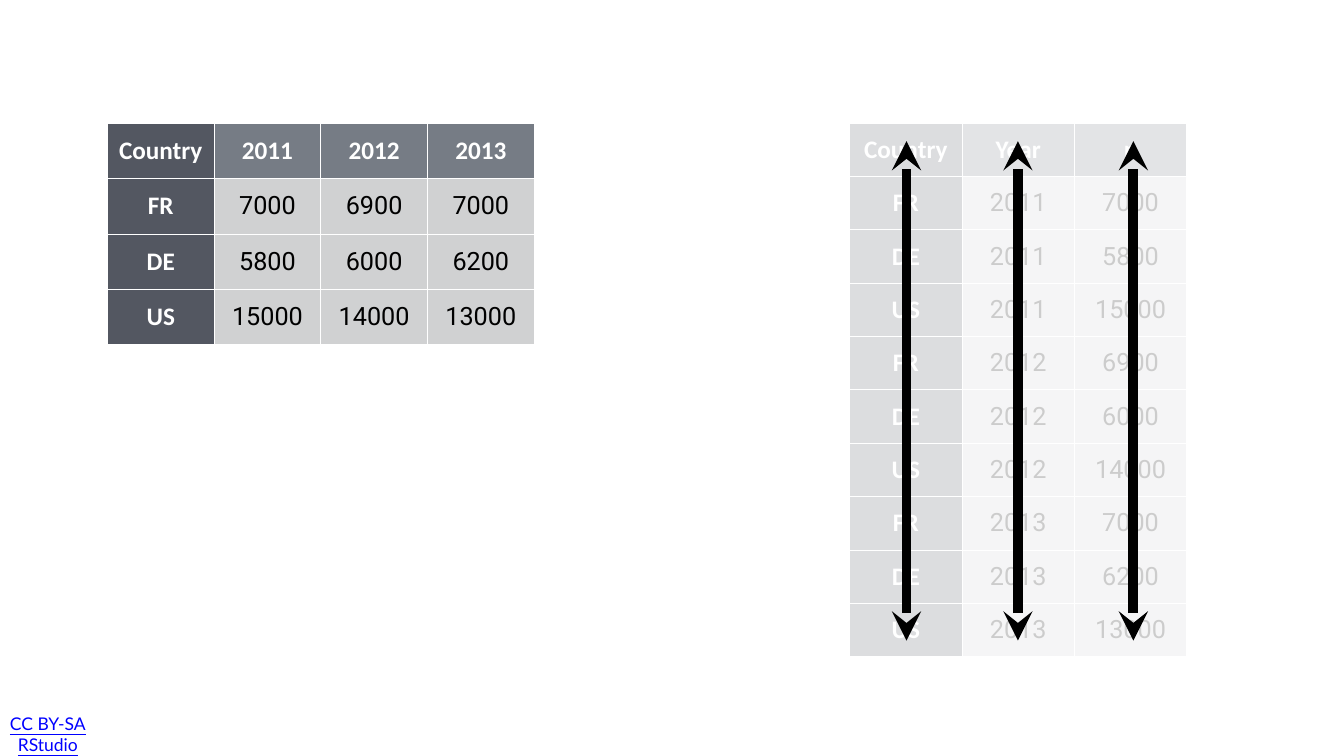
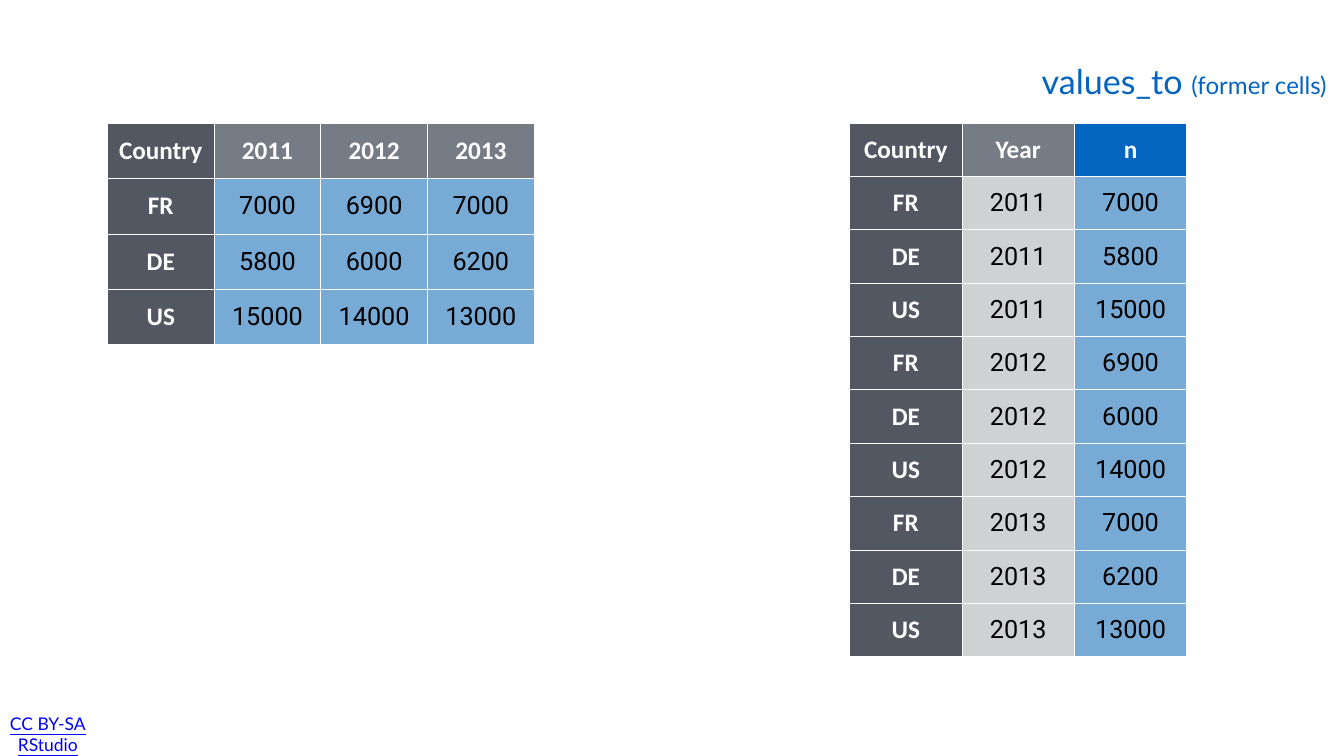
from dataclasses import dataclass
from typing import Any

import pptx
import pptx.dml.color
import pptx.enum.shapes
import pptx.enum.text
import pptx.oxml
import pptx.oxml.ns
import pptx.util

WIDE, HIGH = 26.67, 15
INKS = {
    "white": "FFFFFF",
    "black": "000000",
    "key": "535761",
    "head": "767C85",
    "cell": "D0D1D2",
    "blue": "0365C0",
    "pale": "78AAD6",
    "link": "0000FF",
}
SPACE = pptx.oxml.ns.nsdecls("a")
MIDDLE = pptx.enum.text.MSO_ANCHOR.MIDDLE

YEARS = ["2011", "2012", "2013"]
COUNTS = {
    "FR": ["7000", "6900", "7000"],
    "DE": ["5800", "6000", "6200"],
    "US": ["15000", "14000", "13000"],
}
BROAD = [["Country", *YEARS]] + [[land, *row] for land, row in COUNTS.items()]
LONG = [["Country", "Year", "n"]] + [
    [land, year, row[i]] for i, year in enumerate(YEARS) for land, row in COUNTS.items()
]


@dataclass(frozen=True)
class Box:
    """A place given in percent of the slide's width and height."""

    left: float
    top: float
    width: float
    height: float

    def place(self) -> tuple[int, int, int, int]:
        return (across(self.left), down(self.top), across(self.width), down(self.height))


@dataclass(frozen=True)
class Grid:
    box: Box
    rows: list[list[str]]
    values: int


@dataclass(frozen=True)
class Arrow:
    across: float
    low: float = 84.73
    high: float = 18.67


def across(share: float) -> int:
    return pptx.util.Inches(WIDE * share / 100)


def down(share: float) -> int:
    return pptx.util.Inches(HIGH * share / 100)


FOOTER = Box(0.45, 95.07, 9.97, 4)
TITLE = Box(77.2, 7.4, 26.55, 6.67)
VEIL = Box(62.62, 16.07, 26.21, 71)
GRIDS = [
    Grid(Box(7.99, 16.27, 31.76, 29.33), BROAD, 1),
    Grid(Box(63.22, 16.27, 25.08, 70.6), LONG, 2),
]
ARROWS = [Arrow(84.33), Arrow(75.74), Arrow(67.45)]


def tint(name: str) -> pptx.dml.color.RGBColor:
    return pptx.dml.color.RGBColor.from_string(INKS[name])


def paint(thing: Any, name: str) -> None:
    thing.fill.solid()
    thing.fill.fore_color.rgb = tint(name)


def write(frame: Any, text: str, *, size: float, face: str = "Lato", ink: str = "black",
          bold: bool = False, under: bool = False, align: str = "CENTER") -> None:
    par = frame.paragraphs[0]
    par.alignment = pptx.enum.text.PP_ALIGN[align]
    for i, line in enumerate(text.split("\n")):
        if i:
            par.add_line_break()
        run = par.add_run()
        run.text = line
        font = run.font
        font.size, font.name, font.bold = pptx.util.Pt(size), face, bold
        font.underline = under
        font.color.rgb = tint(ink)


def inset(frame: Any, left: float, top: float, right: float, bottom: float) -> None:
    frame.margin_left, frame.margin_top = pptx.util.Inches(left), pptx.util.Inches(top)
    frame.margin_right, frame.margin_bottom = pptx.util.Inches(right), pptx.util.Inches(bottom)
    frame.vertical_anchor = MIDDLE
    frame.word_wrap = True
    frame.auto_size = pptx.enum.text.MSO_AUTO_SIZE.NONE


def edge(cell: Any) -> None:
    props = cell._tc.get_or_add_tcPr()
    for i, side in enumerate("LRTB"):
        props.insert(i, pptx.oxml.parse_xml(
            f'<a:ln{side} {SPACE} w="12700"><a:solidFill>'
            f'<a:srgbClr val="{INKS["white"]}"/></a:solidFill></a:ln{side}>'))


def shade(row: int, col: int, grid: Grid, lit: bool) -> str:
    if col == 0:
        return "key"
    marked = lit and col >= grid.values
    if row == 0:
        return "blue" if marked and grid.rows is LONG else "head"
    return "pale" if marked else "cell"


def draw_grid(slide: Any, grid: Grid, lit: bool) -> None:
    place = grid.box.place()
    deep, broad = len(grid.rows), len(grid.rows[0])
    table = slide.shapes.add_table(deep, broad, *place).table
    table.first_row = table.horz_banding = False
    for col in table.columns:
        col.width = place[2] // broad
    for row in table.rows:
        row.height = place[3] // deep
    pad = pptx.util.Inches(0.06)
    for r, row in enumerate(grid.rows):
        for c, text in enumerate(row):
            cell = table.cell(r, c)
            cell.margin_left = cell.margin_right = cell.margin_top = cell.margin_bottom = pad
            cell.vertical_anchor = MIDDLE
            paint(cell, shade(r, c, grid, lit))
            edge(cell)
            label = r == 0 or c == 0
            write(cell.text_frame, text, size=36, bold=label,
                  face="Calibri" if label else "Roboto", ink="white" if label else "black")


def draw_veil(slide: Any) -> None:
    veil = slide.shapes.add_shape(pptx.enum.shapes.MSO_SHAPE.RECTANGLE, *VEIL.place())
    veil.shadow.inherit = False
    veil.line.fill.background()
    paint(veil, "white")
    color = veil._element.spPr.find(".//" + pptx.oxml.ns.qn("a:srgbClr"))
    color.append(pptx.oxml.parse_xml(f'<a:alpha {SPACE} val="80000"/>'))


def draw_arrow(slide: Any, arrow: Arrow) -> None:
    x = across(arrow.across)
    line = slide.shapes.add_connector(pptx.enum.shapes.MSO_CONNECTOR.STRAIGHT,
                                      x, down(arrow.low), x, down(arrow.high))
    line.line.width = pptx.util.Pt(14)
    line.line.color.rgb = tint("black")
    for end in ("head", "tail"):
        line.line._get_or_add_ln().append(
            pptx.oxml.parse_xml(f'<a:{end}End {SPACE} type="stealth"/>'))
    line._element.spPr.append(pptx.oxml.parse_xml(f"<a:effectLst {SPACE}/>"))


def draw_title(slide: Any) -> None:
    title = slide.shapes.title
    title.left, title.top, title.width, title.height = TITLE.place()
    frame = title.text_frame
    inset(frame, 0.08, 0.08, 0.08, 0.08)
    write(frame, "values_to ", size=48.7, ink="blue", align="LEFT")
    write(frame, "(former cells)", size=34.4, ink="blue", align="LEFT")


def start(deck: Any, layout: int, lit: bool) -> Any:
    slide = deck.slides.add_slide(deck.slide_layouts[layout])
    frame = slide.shapes.add_textbox(*FOOTER.place()).text_frame
    inset(frame, 0, 0.08, 1, 0.08)
    write(frame, "CC BY-SA\nRStudio", size=25, ink="link", under=True)
    for grid in GRIDS:
        draw_grid(slide, grid, lit)
    return slide


def main() -> None:
    deck = pptx.Presentation()
    deck.slide_width, deck.slide_height = across(100), down(100)
    slide = start(deck, 6, lit=False)
    draw_veil(slide)
    for arrow in ARROWS:
        draw_arrow(slide, arrow)
    draw_title(start(deck, 5, lit=True))
    deck.save("out.pptx")


if __name__ == "__main__":
    main()
